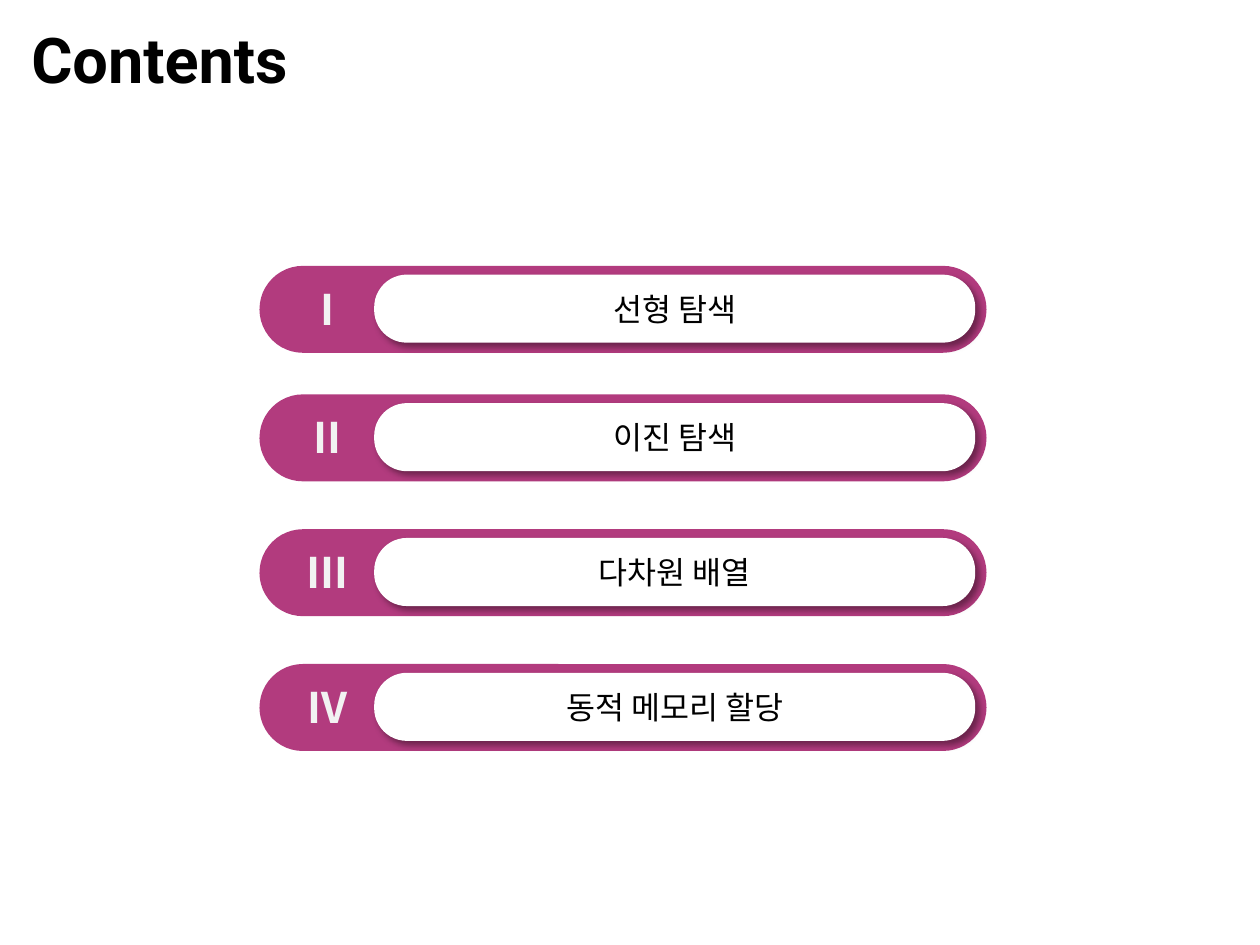
from dataclasses import dataclass

from lxml.etree import SubElement
from pptx import Presentation
from pptx.dml.color import RGBColor
from pptx.enum.shapes import MSO_SHAPE as Preset
from pptx.enum.text import MSO_ANCHOR as Anchor, MSO_AUTO_SIZE as AutoSize, PP_ALIGN as Align
from pptx.oxml.ns import qn
from pptx.util import Inches, Pt

COLORS = {"accent": "B23B7E", "panel": "FFFFFF", "text": "000000", "numeral": "F2F2F2"}
KOREAN_FONT = "Noto Sans CJK KR"


@dataclass(frozen=True)
class Chapter:
    numeral: str
    title: str
    top: float


@dataclass(frozen=True)
class TextStyle:
    font: str
    size: float
    color: str
    bold: bool = False
    align: Align = Align.CENTER


HEADING = TextStyle("Roboto", 36, "text", True, Align.LEFT)
NUMERAL = TextStyle(KOREAN_FONT, 24, "numeral", True)
CHAPTER_TITLE = TextStyle("Arial", 18, "text")

CHAPTERS = [
    Chapter("Ⅰ", "선형 탐색", 2.11),
    Chapter("Ⅱ", "이진 탐색", 3.13),
    Chapter("Ⅲ", "다차원 배열", 4.2),
    Chapter("Ⅳ", "동적 메모리 할당", 5.27),
]


def write_text(shape, text: str, style: TextStyle) -> None:
    frame = shape.text_frame
    frame.text = text
    para = frame.paragraphs[0]
    para.alignment = style.align
    span = para.runs[0]
    span.font.size = Pt(style.size)
    span.font.bold = style.bold
    span.font.color.rgb = RGBColor.from_string(COLORS[style.color])
    span.font.name = style.font
    SubElement(span.font._element, qn("a:ea"), typeface=KOREAN_FONT)


def add_pill(page, left: float, top: float, width: float, height: float,
             color: str, rounding: float):
    pill = page.shapes.add_shape(
        Preset.ROUNDED_RECTANGLE, Inches(left), Inches(top), Inches(width), Inches(height))
    pill.adjustments[0] = rounding
    pill.fill.solid()
    pill.fill.fore_color.rgb = RGBColor.from_string(COLORS[color])
    pill.line.fill.background()
    pill.shadow.inherit = False
    return pill


def add_shadow(shape) -> None:
    effects = shape._element.spPr.find(qn("a:effectLst"))
    shadow = SubElement(effects, qn("a:outerShdw"), blurRad=str(Pt(4)), dist=str(Pt(3)),
                        dir=str(45 * 60000), algn="tl", rotWithShape="0")
    tint = SubElement(shadow, qn("a:srgbClr"), val=COLORS["text"])
    SubElement(tint, qn("a:alpha"), val="40000")


def add_label(page, left: float, top: float, width: float, height: float,
              text: str, style: TextStyle):
    box = page.shapes.add_textbox(Inches(left), Inches(top), Inches(width), Inches(height))
    write_text(box, text, style)
    return box


def add_chapter(page, chapter: Chapter) -> None:
    add_pill(page, 2.06, chapter.top, 5.77, 0.69, "accent", 0.5)
    numeral = add_label(page, 2.33, chapter.top + 0.09, 0.54, 0.5, chapter.numeral, NUMERAL)
    numeral.text_frame.word_wrap = False
    numeral.text_frame.auto_size = AutoSize.SHAPE_TO_FIT_TEXT
    panel = add_pill(page, 2.97, chapter.top + 0.07, 4.77, 0.54, "panel", 0.48)
    add_shadow(panel)
    write_text(panel, chapter.title, CHAPTER_TITLE)
    panel.text_frame.vertical_anchor = Anchor.MIDDLE


def main() -> None:
    """Build the contents slide with one banner per chapter."""
    deck = Presentation()
    deck.slide_width, deck.slide_height = Inches(10), Inches(7.5)
    page = deck.slides.add_slide(deck.slide_layouts[6])
    heading = add_label(page, 0.15, 0.12, 4.77, 0.69, "Contents", HEADING)
    heading.text_frame.word_wrap = True
    heading.text_frame.vertical_anchor = Anchor.MIDDLE
    for chapter in CHAPTERS:
        add_chapter(page, chapter)
    deck.save("out.pptx")


if __name__ == "__main__":
    main()
